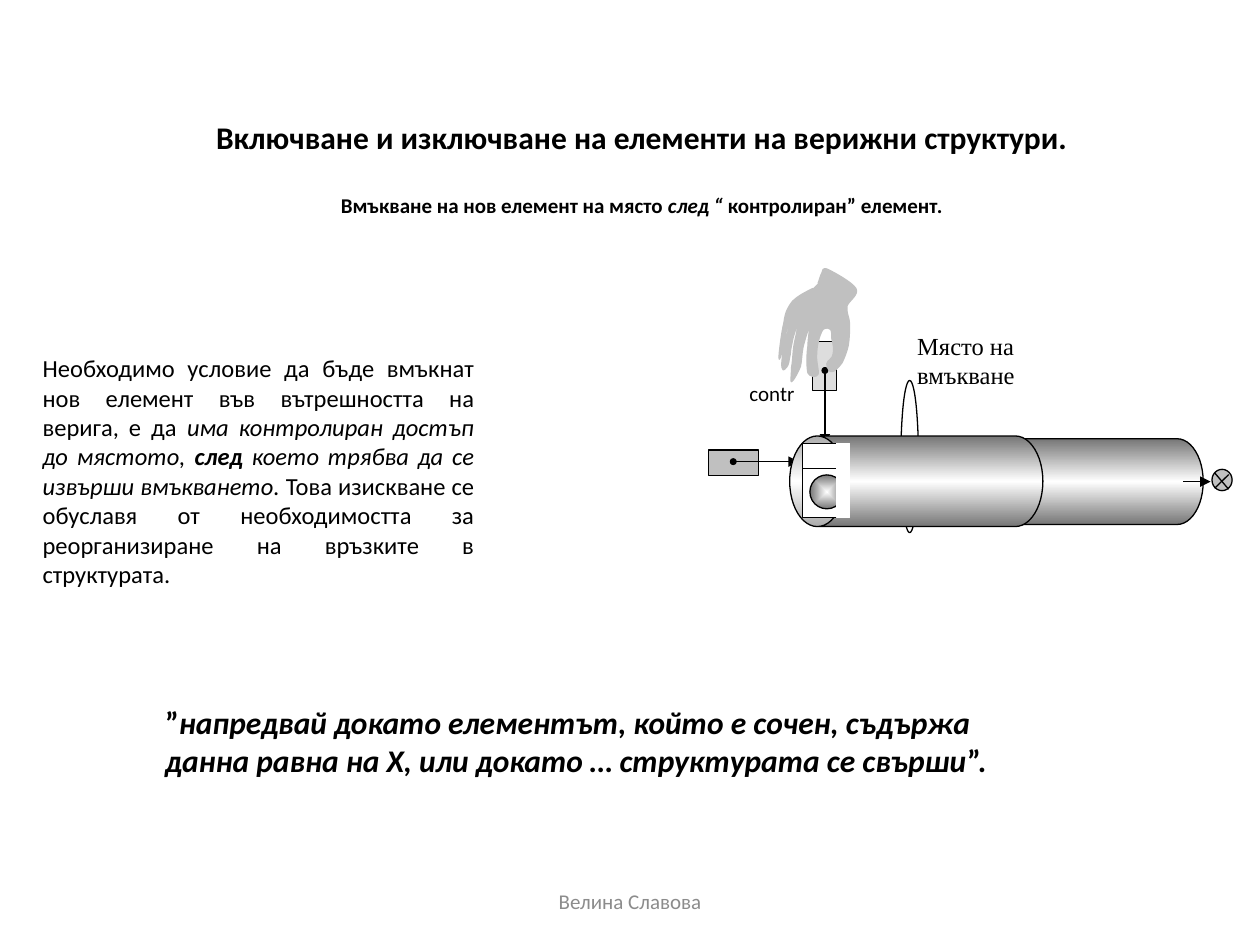
from lxml import etree
from pptx import Presentation
from pptx.dml.color import RGBColor
from pptx.enum.shapes import MSO_CONNECTOR, MSO_SHAPE
from pptx.enum.text import MSO_ANCHOR, PP_ALIGN
from pptx.oxml.ns import qn
from pptx.util import Pt

RECT, OVAL, CAN = MSO_SHAPE.RECTANGLE, MSO_SHAPE.OVAL, MSO_SHAPE.CAN
LINE = MSO_CONNECTOR.STRAIGHT
TOP, MIDDLE = MSO_ANCHOR.TOP, MSO_ANCHOR.MIDDLE
LEFT, CENTER, JUST = PP_ALIGN.LEFT, PP_ALIGN.CENTER, PP_ALIGN.JUSTIFY

INK = {"black": "000000", "white": "FFFFFF", "gray": "C0C0C0",
       "light": "DDDDDD", "shade": "767676", "foot": "8C8C8C"}

# Start point, then cubic segments, in hundredths of an inch
HAND_START = (29, 17)
HAND = [
    (23, 20, 17, 23, 13, 27), (9, 32, 7, 36, 6, 44),
    (4, 52, 2, 69, 2, 72), (2, 76, 4, 69, 5, 65),
    (6, 61, 7, 54, 8, 50), (9, 46, 12, 38, 11, 41),
    (11, 45, 6, 63, 5, 70), (4, 76, 4, 80, 5, 81),
    (5, 83, 8, 80, 9, 78), (10, 76, 10, 73, 11, 69),
    (11, 66, 12, 62, 13, 57), (14, 53, 17, 44, 17, 44),
    (18, 45, 15, 56, 14, 62), (13, 68, 13, 75, 12, 80),
    (12, 85, 11, 92, 12, 91), (13, 91, 17, 84, 19, 79),
    (20, 75, 20, 69, 21, 64), (22, 59, 26, 47, 26, 47),
    (27, 47, 25, 57, 25, 63), (24, 69, 24, 80, 25, 84),
    (26, 87, 32, 88, 33, 85), (34, 83, 31, 74, 32, 68),
    (32, 62, 34, 55, 36, 51), (37, 48, 41, 48, 42, 49),
    (44, 49, 44, 53, 44, 57), (45, 60, 46, 66, 45, 69),
    (45, 73, 40, 74, 40, 77), (40, 79, 42, 84, 44, 83),
    (46, 83, 49, 80, 52, 76), (54, 72, 56, 67, 57, 62),
    (58, 56, 58, 50, 58, 45), (58, 40, 55, 36, 56, 31),
    (57, 27, 66, 22, 63, 17), (60, 12, 45, 4, 41, 2),
    (36, 0, 37, 3, 36, 5), (35, 6, 34, 11, 33, 13),
]


def color(name):
    return RGBColor.from_string(INK[name])


def add_text(slide, box, runs, size, align=LEFT, anchor=TOP, wrap=True,
             font="Calibri", ink="black"):
    """Each run is (text, style); style may hold b for bold and i for italic."""
    shape = slide.shapes.add_textbox(*map(Pt, box))
    frame = shape.text_frame
    frame.word_wrap = wrap
    frame.vertical_anchor = anchor
    para = frame.paragraphs[0]
    para.alignment = align
    for text, style in runs:
        run = para.add_run()
        run.text = text
        run.font.name = font
        run.font.size = Pt(size)
        run.font.bold = "b" in style
        run.font.italic = "i" in style
        run.font.color.rgb = color(ink)
    return shape


def paint(shape, fill, line="black"):
    shape.shadow.inherit = False
    if fill is None:
        shape.fill.background()
    else:
        shape.fill.solid()
        shape.fill.fore_color.rgb = color(fill)
    shape.line.color.rgb = color(line)
    shape.line.width = Pt(0.75)


def blend(shape, stops, radial=False):
    """Fill with a gradient; stops are (percent, colour name)."""
    shape.fill.gradient()
    grad = shape._element.spPr.find(qn("a:gradFill"))
    for child in list(grad):
        grad.remove(child)
    row = etree.SubElement(grad, qn("a:gsLst"))
    for pos, name in stops:
        stop = etree.SubElement(row, qn("a:gs"), pos=str(pos * 1000))
        etree.SubElement(stop, qn("a:srgbClr"), val=INK[name])
    if radial:
        way = etree.SubElement(grad, qn("a:path"), {"path": "shape"})
        etree.SubElement(way, qn("a:fillToRect"),
                         {side: "50000" for side in "ltrb"})
    else:
        etree.SubElement(grad, qn("a:lin"), ang="0", scaled="0")


def add_part(slide, kind, at, x, y, w, h, fill=None, line="black"):
    part = slide.shapes.add_shape(kind, Pt(at[0] + x), Pt(at[1] + y), Pt(w), Pt(h))
    paint(part, fill, line)
    return part


def add_line(slide, at, x1, y1, x2, y2, head=None, tail=None):
    link = slide.shapes.add_connector(
        LINE, Pt(at[0] + x1), Pt(at[1] + y1), Pt(at[0] + x2), Pt(at[1] + y2))
    link.line.color.rgb = color("black")
    link.line.width = Pt(0.75)
    stroke = link.line._get_or_add_ln()
    for tag, kind, size in (("a:headEnd", head, "sm"), ("a:tailEnd", tail, "med")):
        if kind:
            etree.SubElement(stroke, qn(tag), type=kind, w=size, len=size)
    etree.SubElement(link._element.spPr, qn("a:effectLst"))


def add_hand(slide, at, x, y):
    """Draw the outline, then turn each three line steps into one curve."""
    dots = [seg[k:k + 2] for seg in HAND for k in (0, 2, 4)]
    pen = slide.shapes.build_freeform(*HAND_START, scale=Pt(0.72))
    pen.add_line_segments(dots, close=False)
    hand = pen.convert_to_shape(Pt(at[0] + x), Pt(at[1] + y))
    steps = list(hand._element.iter(qn("a:lnTo")))
    for k in range(0, len(steps), 3):
        curve = etree.Element(qn("a:cubicBezTo"))
        steps[k].addprevious(curve)
        for step in steps[k:k + 3]:
            curve.append(step[0])
            step.getparent().remove(step)
    paint(hand, "gray", "gray")


def add_tube(slide, at, x, y, length, width):
    """Lay a can on its side, centred on x, y."""
    tube = add_part(slide, CAN, at, x - width / 2, y - length / 2, width, length)
    tube.rotation = 270
    tube.adjustments[0] = 0.61
    blend(tube, [(0, "shade"), (50, "white"), (100, "shade")])


def add_cell(slide, at, x, y):
    add_part(slide, RECT, at, x, y, 26, 14.4, "white")
    add_part(slide, RECT, at, x, y + 14.4, 26, 28, "white")
    ball = add_part(slide, OVAL, at, x + 4.2, y + 18, 19.4, 19.4)
    blend(ball, [(0, "white"), (100, "shade")], radial=True)
    add_part(slide, RECT, at, x + 19.5, y, 7.5, 42.4, "white", "white")


def add_end(slide, at, x, y):
    add_part(slide, OVAL, at, x, y, 11.5, 12.2, "gray")
    add_line(slide, at, x + 1.5, y + 2, x + 9.5, y + 11.4)
    add_line(slide, at, x + 9.5, y + 3, x + 1.5, y + 10.8)
    add_line(slide, at, x - 16.5, y + 7, x - 0.8, y + 7, tail="triangle")


def add_chain(slide, box):
    left, top = at = box[:2]
    add_part(slide, RECT, at, 60.4, 43.1, 13.7, 28, "light")
    add_line(slide, at, 67.4, 59.7, 67.4, 102, "oval", "triangle")
    add_hand(slide, at, 39.7, 0.6)
    add_tube(slide, at, 211.6, 123.2, 144, 49)
    add_end(slide, at, 288.6, 116.2)
    add_text(slide, (left + 17.2, top + 61.8, 50.4, 28), [("contr", "")], 12)
    add_text(slide, (left + 113, top + 33.5, 97.2, 49.7),
             [("Място на вмъкване", "")], 14, font="Times New Roman")
    add_part(slide, OVAL, at, 110.8, 65.4, 10, 87)
    add_part(slide, RECT, at, 0.8, 105.2, 28.8, 14.4, "gray")
    add_line(slide, at, 15, 111.8, 52.5, 111.8, "oval", "triangle")
    add_tube(slide, at, 119.6, 123, 144.7, 51.8)
    add_cell(slide, at, 54.6, 101.4)


def add_heads(slide, box):
    left, top = box[:2]
    add_text(slide, (left, top, 544.3, 26.6),
             [("Включване и изключване на елементи на верижни структури.", "b")],
             18, JUST, MIDDLE, wrap=False)
    add_text(slide, (left + 71.3, top + 41.8, 388, 21.6),
             [("Вмъкване на нов елемент на място ", "b"), ("след “", "bi"),
              (" контролиран” елемент.", "b")], 12, JUST, MIDDLE, wrap=False)


def add_body(slide, box):
    body = add_text(slide, box, [
        ("Необходимо условие да бъде вмъкнат нов елемент във вътрешността "
         "на верига, е да ", ""),
        ("има контролиран достъп до мястото, ", "i"), ("след ", "bi"),
        ("което трябва да се извърши вмъкването. ", "i"),
        ("Това изискване се обуславя от необходимостта за реорганизиране "
         "на връзките в структурата. ", "")], 14, JUST)
    body.fill.solid()
    body.fill.fore_color.rgb = color("white")
    body.text_frame.margin_top = Pt(20.4)


def add_quote(slide, box):
    add_text(slide, box, [
        ("”", "b"),
        ("напредвай докато елементът, който е сочен, съдържа данна равна "
         "на Х, или докато … структурата се свърши", "bi"),
        ("”.", "b")], 18, anchor=MIDDLE)


def main():
    deck = Presentation()
    deck.slide_width, deck.slide_height = Pt(720), Pt(540)
    slide = deck.slides.add_slide(deck.slide_layouts[6])
    add_heads(slide, (116.4, 64.8, 544.3, 63.4))
    add_body(slide, (17.3, 181.4, 260.9, 203))
    add_chain(slide, (404, 152, 302, 154))
    add_quote(slide, (87.3, 400.3, 509.8, 46.1))
    add_text(slide, (246, 500.4, 228.2, 28.8), [("Велина Славова", "")],
             12, CENTER, MIDDLE, ink="foot")
    deck.save("out.pptx")


if __name__ == "__main__":
    main()
